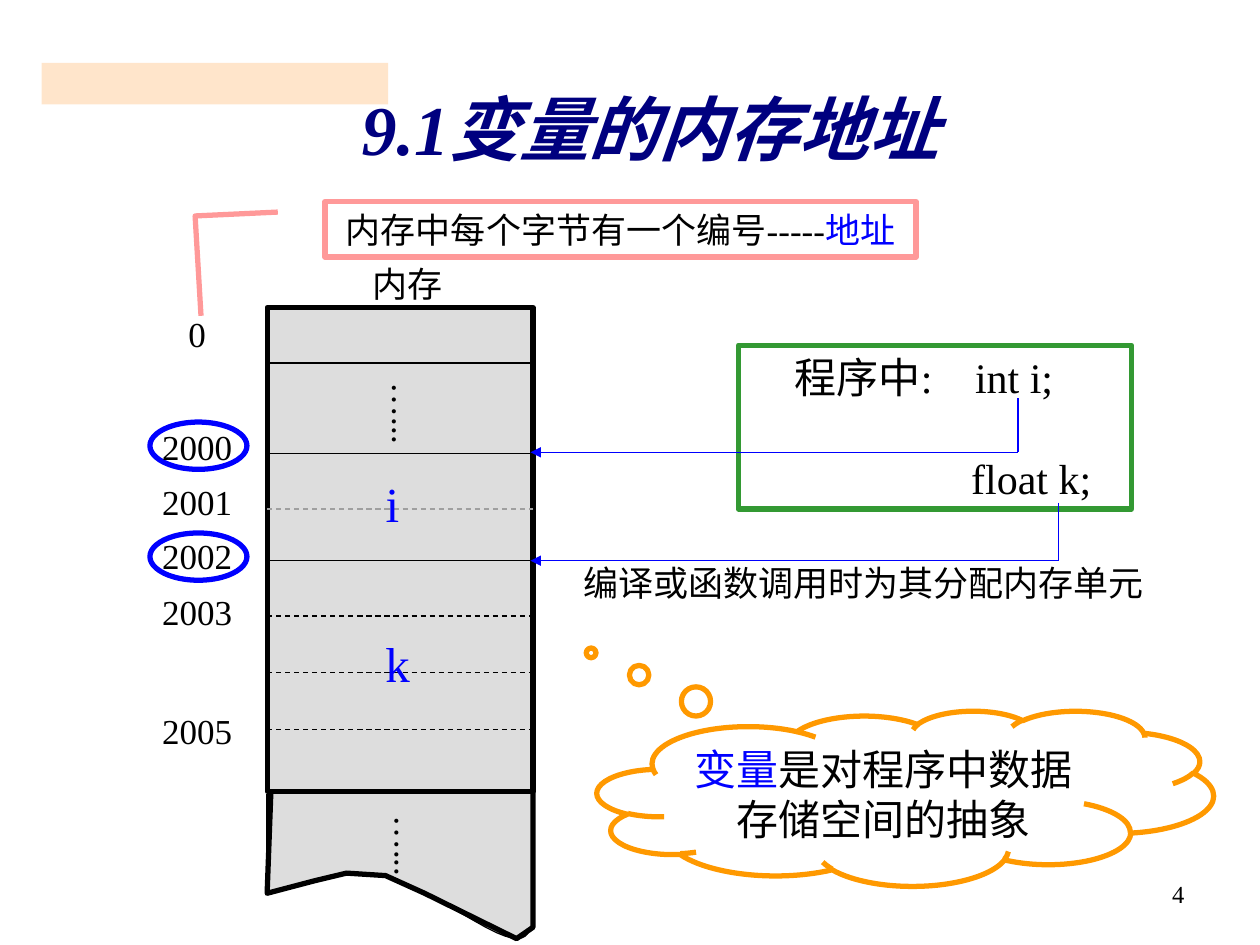
"""Build a slide that explains the memory address of a variable."""
import dataclasses
import typing

import lxml.etree
import pptx
import pptx.dml.color
import pptx.enum.dml
import pptx.enum.shapes
import pptx.enum.text
import pptx.oxml.ns
import pptx.util

SHAPE = pptx.enum.shapes.MSO_SHAPE
ALIGN = pptx.enum.text.PP_ALIGN
ANCHOR = pptx.enum.text.MSO_ANCHOR
Point = tuple[float, float]


@dataclasses.dataclass(frozen=True)
class Theme:
    font: str = "Times New Roman"
    black: str = "000000"
    blue: str = "0000FF"
    navy: str = "00007F"
    peach: str = "FFCC99"
    pink: str = "FF9999"
    green: str = "339933"
    orange: str = "FF9900"
    memory: str = "DDDDDD"
    grey: str = "9F9F9F"
    white: str = "FFFFFF"
    title: int = 40
    variable: int = 28
    large: int = 24
    normal: int = 20
    number: int = 14
    thick: float = 3
    thin: float = 0.75


THEME = Theme()


@dataclasses.dataclass(frozen=True)
class Grid:
    """A grid of 100 columns by 75 rows over the slide."""
    width: int = pptx.util.Inches(10)
    height: int = pptx.util.Inches(7.5)

    def x(self, columns: float) -> int:
        return round(self.width * columns / 100)

    def y(self, rows: float) -> int:
        return round(self.height * rows / 75)

    def box(self, place: "Place") -> tuple[int, int, int, int]:
        return (self.x(place.column), self.y(place.row),
                self.x(place.columns), self.y(place.rows))


GRID = Grid()


class Place(typing.NamedTuple):
    column: float
    row: float
    columns: float
    rows: float


class Run(typing.NamedTuple):
    text: str
    colour: str = THEME.black


class Line(typing.NamedTuple):
    runs: tuple[Run, ...]
    tabs: tuple[float, ...] = ()
    before: float = 0


@dataclasses.dataclass(frozen=True)
class Text:
    lines: tuple[Line, ...]
    size: int = THEME.normal
    align: ALIGN = ALIGN.CENTER
    anchor: ANCHOR = ANCHOR.MIDDLE
    wrap: bool = False
    vertical: bool = False
    bold: bool = False
    spacing: float = 1.0


class Rule(typing.NamedTuple):
    start: Point
    end: Point
    colour: str = THEME.black
    dashed: bool = False
    arrow: bool = False


def plain(text: str, colour: str = THEME.black, **values: typing.Any) -> Text:
    return Text((Line((Run(text, colour),)),), **values)


def apply_format(target: typing.Any, values: dict[str, typing.Any]) -> None:
    for name, value in values.items():
        setattr(target, name, value)


def rgb(colour: str) -> pptx.dml.color.RGBColor:
    return pptx.dml.color.RGBColor.from_string(colour)


def add_element(parent: typing.Any, tag: str, **values: str) -> typing.Any:
    return lxml.etree.SubElement(parent, pptx.oxml.ns.qn(tag), values)


def write_text(frame: typing.Any, text: Text) -> None:
    apply_format(frame, {"word_wrap": text.wrap, "vertical_anchor": text.anchor,
                         "auto_size": pptx.enum.text.MSO_AUTO_SIZE.NONE})
    if text.vertical:
        frame._txBody.bodyPr.set("vert", "eaVert")
    for index, line in enumerate(text.lines):
        paragraph = frame.add_paragraph() if index else frame.paragraphs[0]
        apply_format(paragraph, {"alignment": text.align, "line_spacing": text.spacing,
                                 "space_before": pptx.util.Pt(line.before)})
        if line.tabs:
            stops = add_element(paragraph._p.get_or_add_pPr(), "a:tabLst")
            for stop in line.tabs:
                add_element(stops, "a:tab", pos=str(GRID.x(stop)), algn="l")
        for part in line.runs:
            run = paragraph.add_run()
            run.text = part.text
            apply_format(run.font, {"name": THEME.font, "size": pptx.util.Pt(text.size),
                                    "bold": text.bold, "italic": text.bold})
            run.font.color.rgb = rgb(part.colour)


def paint(shape: typing.Any, fill: str | None, outline: str | None, width: float) -> None:
    shape.shadow.inherit = False
    for part, colour in ((shape.fill, fill), (shape.line.fill, outline)):
        if colour:
            part.solid()
            part.fore_color.rgb = rgb(colour)
        else:
            part.background()
    if outline:
        shape.line.width = pptx.util.Pt(width)


def add_box(slide: typing.Any, kind: SHAPE, place: Place, fill: str | None = None,
            outline: str | None = None, text: Text | None = None,
            adjustments: tuple[float, ...] = ()) -> typing.Any:
    shape = slide.shapes.add_shape(kind, *GRID.box(place))
    for index, value in enumerate(adjustments):
        shape.adjustments[index] = value
    paint(shape, fill, outline, THEME.thick)
    if text:
        write_text(shape.text_frame, text)
    return shape


def add_label(slide: typing.Any, place: Place, text: Text) -> None:
    write_text(slide.shapes.add_textbox(*GRID.box(place)).text_frame, text)


def add_outline(slide: typing.Any, points: list[Point], fill: str | None,
                width: float, close: bool) -> None:
    corners = [(GRID.x(column), GRID.y(row)) for column, row in points]
    builder = slide.shapes.build_freeform(*corners[0])
    builder.add_line_segments(corners[1:], close=close)
    paint(builder.convert_to_shape(), fill, THEME.black, width)


def curve(points: list[Point], steps: int = 10) -> list[Point]:
    result = [points[0]]
    for first in range(0, len(points) - 1, 3):
        a, b, c, d = points[first:first + 4]
        for t in (step / steps for step in range(1, steps + 1)):
            weights = ((1 - t) ** 3, 3 * t * (1 - t) ** 2, 3 * t * t * (1 - t), t ** 3)
            result.append(tuple(sum(w * p[axis] for w, p in zip(weights, (a, b, c, d)))
                                for axis in (0, 1)))
    return result


def add_rule(slide: typing.Any, rule: Rule) -> None:
    (left, top), (right, bottom) = rule.start, rule.end
    connector = slide.shapes.add_connector(
        pptx.enum.shapes.MSO_CONNECTOR.STRAIGHT,
        GRID.x(left), GRID.y(top), GRID.x(right), GRID.y(bottom))
    connector.line.color.rgb = rgb(rule.colour)
    connector.line.width = pptx.util.Pt(THEME.thin)
    if rule.dashed:
        connector.line.dash_style = pptx.enum.dml.MSO_LINE.DASH
    properties = connector._element.spPr
    if rule.arrow:
        add_element(properties.find(pptx.oxml.ns.qn("a:ln")), "a:headEnd", type="triangle")
    add_element(properties, "a:effectLst")


def draw_memory(slide: typing.Any) -> None:
    left, right, top, bottom = 21.2, 42.3, 24.4, 62.8
    for row in (42.3, 33.5):
        add_box(slide, SHAPE.OVAL, Place(11.9, row, 7.7, 3.75), THEME.white, THEME.blue)
    wave = [(left, 71), (24, 69.9), (26.8, 68.8), (29.9, 69.4), (33.1, 69.9), (38.1, 73.7),
            (40.1, 74.3), (42.2, 75), (41.9, 73.5), (right, 73.3)]
    add_outline(slide, curve(wave), None, THEME.thin, False)
    torn = [(21.5, bottom), (right, bottom), (right, 73.6), (41, 74.5), (33.7, 70.9),
            (30.6, 69.5), (27.5, 69.3), (25, 69.9), (left, 70.9)]
    add_outline(slide, torn, THEME.memory, THEME.thick, True)
    add_box(slide, SHAPE.RECTANGLE, Place(left, top, right - left, bottom - top),
            THEME.memory, THEME.black)
    for row in (28.8, 36, 44.5, bottom):
        add_rule(slide, Rule((left, row), (right, row)))
    for row, colour in ((40.4, THEME.grey), (48.9, THEME.black),
                        (53.4, THEME.black), (57.9, THEME.black)):
        add_rule(slide, Rule((left, row), (right, row), colour, dashed=True))
    for column, end in ((left, 70.9), (right, 73.4)):
        add_rule(slide, Rule((column, 63), (column, end)))
    for column, row in ((29.6, 29.4), (29.8, 63.7)):
        add_label(slide, Place(column, row, 5.3, 5.9), plain("…...", vertical=True))
    for address, row in (("0", 24.3), ("2000", 33.2), ("2001", 37.6), ("2002", 41.9),
                         ("2003", 46.3), ("2005", 55.8)):
        add_label(slide, Place(11.9, row, 7.5, 4.4), plain(address))
    add_label(slide, Place(28.6, 20.3, 7.5, 4.4), plain("内存"))
    for name, row, columns in (("i", 37.1, 3.1), ("k", 49.8, 3.9)):
        add_label(slide, Place(29.6, row, columns, 5.7),
                  plain(name, THEME.blue, size=THEME.variable))


def draw_program(slide: typing.Any) -> None:
    code = Text((Line((Run("\t程序中:\tint i;"),), (3.5, 17.8)),
                 Line((Run("\tfloat k;"),), (17.5,), 29)),
                THEME.large, ALIGN.LEFT, wrap=True)
    add_box(slide, SHAPE.RECTANGLE, Place(58.6, 27.4, 31.2, 13), None, THEME.green, code)
    add_label(slide, Place(45.3, 44, 46.3, 4.4),
              plain("编译或函数调用时为其分配内存单元", align=ALIGN.LEFT))
    for column, start, row in ((80.8, 31.6, 35.9), (84, 39.9, 44.5)):
        add_rule(slide, Rule((column, start), (column, row), THEME.blue))
        add_rule(slide, Rule((42.1, row), (column, row), THEME.blue, arrow=True))


def main() -> None:
    presentation = pptx.Presentation()
    apply_format(presentation, {"slide_width": GRID.width, "slide_height": GRID.height})
    slide = presentation.slides.add_slide(presentation.slide_layouts[5])
    band = add_box(slide, SHAPE.RECTANGLE, Place(3.3, 5, 27.5, 3.3), THEME.peach)
    colour = band._element.spPr.find(".//" + pptx.oxml.ns.qn("a:srgbClr"))
    add_element(colour, "a:alpha", val="50000")
    add_label(slide, Place(71.7, 69.3, 23.3, 5.2),
              plain("4", size=THEME.number, align=ALIGN.RIGHT, anchor=ANCHOR.TOP))
    draw_memory(slide)
    note = Text((Line((Run("内存中每个字节有一个编号-----"), Run("地址", THEME.blue))),))
    add_box(slide, SHAPE.LINE_CALLOUT_2, Place(25.8, 16, 46.9, 4.4), None, THEME.pink,
            note, (0.19, -0.08, 0.26, -0.22, 2.06, -0.21))
    draw_program(slide)
    idea = Text((Line((Run("变量", THEME.blue), Run("是对程序中数据"))),
                 Line((Run("存储空间的抽象"),))), THEME.large, anchor=ANCHOR.TOP)
    add_box(slide, SHAPE.CLOUD_CALLOUT, Place(47.4, 56.4, 48.9, 13.9), None, THEME.orange,
            idea, (-0.51, -0.83))
    title = slide.shapes.title
    apply_format(title, dict(zip(("left", "top", "width", "height"),
                                 GRID.box(Place(5.9, 4.4, 91.4, 12.5)))))
    write_text(title.text_frame, plain("9.1变量的内存地址", THEME.navy, size=THEME.title,
                                       wrap=True, bold=True, spacing=0.85))
    slide.shapes._spTree.append(title._element)
    presentation.save("out.pptx")


if __name__ == "__main__":
    main()
